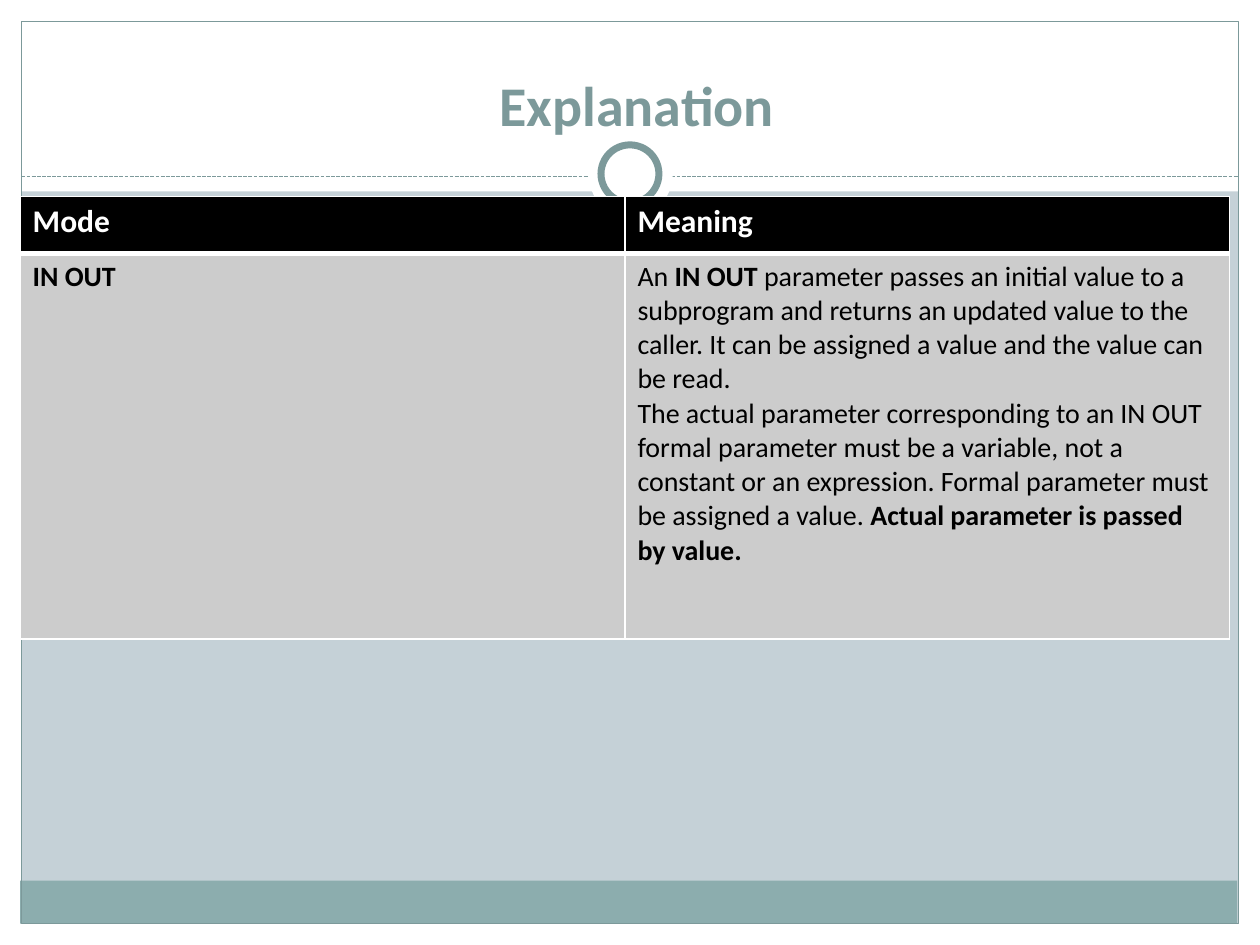
"""Build the slide explaining the IN OUT parameter mode."""
from lxml import etree
from pptx import Presentation
from pptx.dml.color import RGBColor
from pptx.enum.dml import MSO_LINE
from pptx.enum.shapes import MSO_CONNECTOR, MSO_SHAPE
from pptx.enum.text import MSO_ANCHOR, MSO_AUTO_SIZE, PP_ALIGN
from pptx.oxml.ns import qn
from pptx.util import Inches, Pt

RECT, OVAL = MSO_SHAPE.RECTANGLE, MSO_SHAPE.OVAL
STRAIGHT, DASH = MSO_CONNECTOR.STRAIGHT, MSO_LINE.SQUARE_DOT
BOTTOM, CENTER, NO_AUTOFIT = MSO_ANCHOR.BOTTOM, PP_ALIGN.CENTER, MSO_AUTO_SIZE.NONE

WHITE = RGBColor(0xFF, 0xFF, 0xFF)
BLACK = RGBColor(0, 0, 0)
GREY = RGBColor(0xCC, 0xCC, 0xCC)
MIST = RGBColor(0xC5, 0xD1, 0xD7)
SAGE = RGBColor(0x8C, 0xAD, 0xAE)
TEAL = RGBColor(0x7C, 0x99, 0x9A)
FONT = "Calibri"

TITLE = "Explanation"
HEADER = [[[("Mode", True)]], [[("Meaning", True)]]]
BODY = [
    [[("IN OUT", True)]],
    [
        [
            ("An\u00a0", False),
            ("IN OUT", True),
            ("\u00a0parameter passes an initial value to a subprogram and returns an "
             "updated value to the caller. It can be assigned a value and the value "
             "can be read.", False),
        ],
        [
            ("The actual parameter corresponding to an IN OUT formal parameter must be "
             "a variable, not a constant or an expression. Formal parameter must be "
             "assigned a value.\u00a0", False),
            ("Actual parameter is passed by value.", True),
        ],
    ],
]
ROWS = [
    (HEADER, 0.45, 18, WHITE, BLACK, {"L": 1, "R": 1, "T": 1, "B": 3}),
    (BODY, 3.06, 16, BLACK, GREY, {"L": 1, "R": 1, "T": 3, "B": 1}),
]
COLUMN_WIDTH = 4.8

MARGIN_BANDS = [
    (0, 7.33, 10, 0.17),
    (0, 0, 10, 1.52),
    (0, 0, 0.17, 7.5),
    (9.83, 0, 0.17, 7.5),
]
DECOR_BELOW = [(RECT, band, WHITE, None) for band in MARGIN_BANDS] + [
    (RECT, (0.16, 6.99, 9.66, 0.34), SAGE, None),
    (RECT, (0.17, 0.17, 9.66, 7.16), None, 0.75),
]
DECOR_ABOVE = [
    (OVAL, (4.67, 1.05, 0.67, 0.67), WHITE, None),
    (OVAL, (4.77, 1.15, 0.46, 0.46), WHITE, 4),
]


def add_decor(slide, decor):
    for kind, place, fill, line_width in decor:
        part = slide.shapes.add_shape(kind, *map(Inches, place))
        part.shadow.inherit = False
        if fill is None:
            part.fill.background()
        else:
            part.fill.solid()
            part.fill.fore_color.rgb = fill
        if line_width is None:
            part.line.fill.background()
        else:
            part.line.color.rgb = TEAL
            part.line.width = Pt(line_width)


def add_divider(slide):
    divider = slide.shapes.add_connector(
        STRAIGHT, Inches(0.17), Inches(1.4), Inches(9.83), Inches(1.4))
    divider.line.color.rgb = TEAL
    divider.line.width = Pt(0.75)
    divider.line.dash_style = DASH
    etree.SubElement(divider.element.spPr, qn("a:effectLst"))


def add_run(paragraph, text, size, color, bold):
    run = paragraph.add_run()
    run.text = text
    run.font.name = FONT
    run.font.size = Pt(size)
    run.font.bold = bold
    run.font.color.rgb = color


def place_title(slide):
    title = slide.shapes.title
    title.element.getparent().append(title.element)
    title.left, title.top, title.width, title.height = map(
        Inches, (0.39, 0.31, 9.33, 0.83))
    frame = title.text_frame
    frame.word_wrap = True
    frame.auto_size = NO_AUTOFIT
    frame.vertical_anchor = BOTTOM
    frame.paragraphs[0].alignment = CENTER
    add_run(frame.paragraphs[0], TITLE, 32, TEAL, True)


def set_borders(cell, widths):
    properties = cell._tc.get_or_add_tcPr()
    for side, width in widths.items():
        border = etree.SubElement(properties, qn(f"a:ln{side}"), w=str(Pt(width)))
        fill = etree.SubElement(border, qn("a:solidFill"))
        etree.SubElement(fill, qn("a:srgbClr"), val=str(WHITE))


def add_mode_table(slide):
    columns = len(HEADER)
    height = sum(row[1] for row in ROWS)
    table = slide.shapes.add_table(
        len(ROWS), columns, Inches(0.16), Inches(1.56),
        Inches(columns * COLUMN_WIDTH), Inches(height)).table
    for column in table.columns:
        column.width = Inches(COLUMN_WIDTH)
    for r, (texts, row_height, size, color, fill, borders) in enumerate(ROWS):
        table.rows[r].height = Inches(row_height)
        for c, paragraphs in enumerate(texts):
            cell = table.cell(r, c)
            set_borders(cell, borders)
            cell.fill.solid()
            cell.fill.fore_color.rgb = fill
            frame = cell.text_frame
            for i, runs in enumerate(paragraphs):
                paragraph = frame.add_paragraph() if i else frame.paragraphs[0]
                for text, bold in runs:
                    add_run(paragraph, text, size, color, bold)


def main():
    deck = Presentation()
    deck.slide_width, deck.slide_height = Inches(10), Inches(7.5)
    slide = deck.slides.add_slide(deck.slide_layouts[5])
    slide.background.fill.solid()
    slide.background.fill.fore_color.rgb = MIST
    add_decor(slide, DECOR_BELOW)
    add_divider(slide)
    add_decor(slide, DECOR_ABOVE)
    place_title(slide)
    add_mode_table(slide)
    deck.save("out.pptx")


if __name__ == "__main__":
    main()
